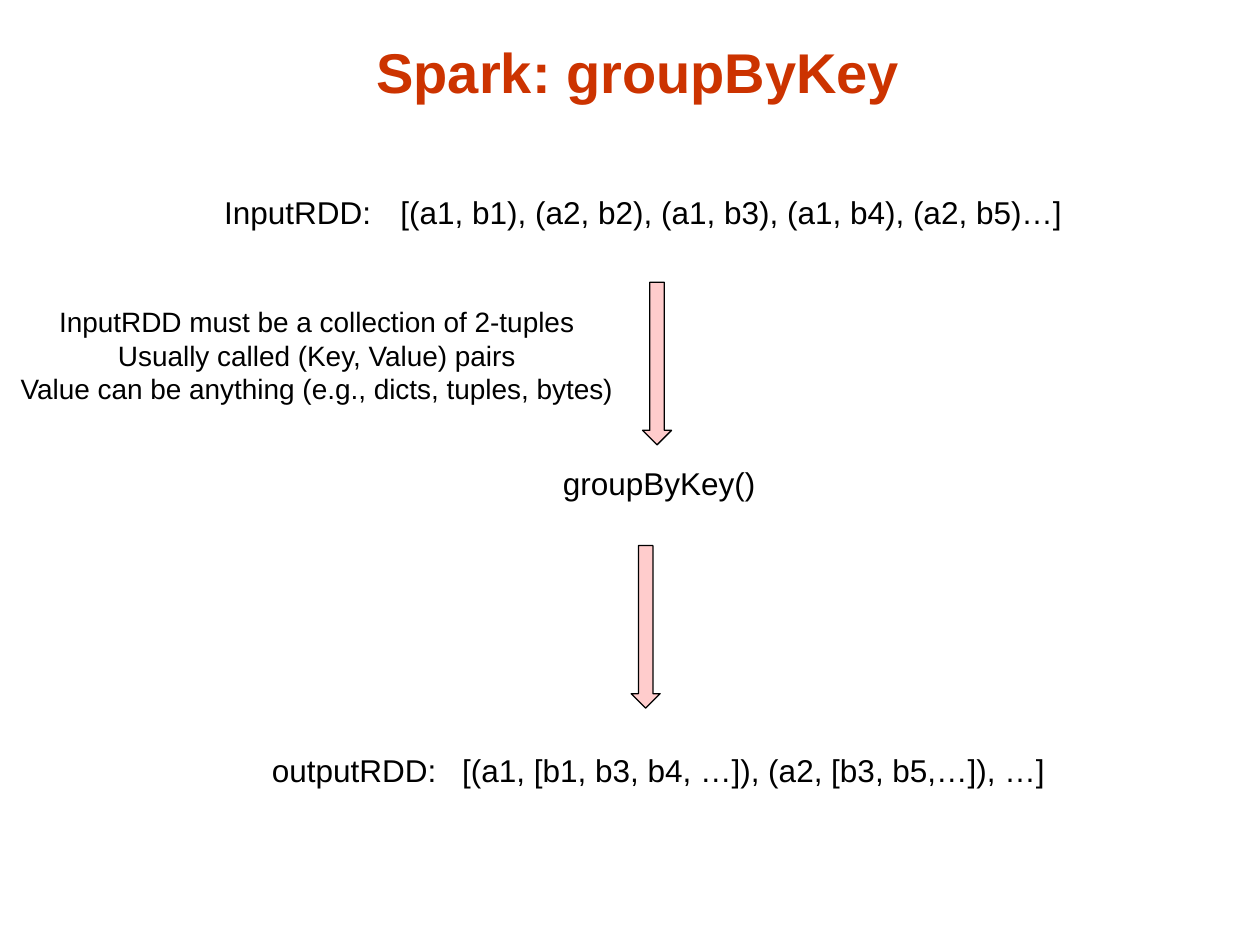
from pptx import Presentation
from pptx import util as u
from pptx.dml.color import RGBColor
from pptx.enum import shapes, text
from pptx.oxml.ns import qn
from lxml import etree


def color(code):
    return RGBColor.from_string(code)


class Deck:
    face = "Arial"
    ink = "000000"
    accent = "CC3300"
    pink = "FFCCCC"

    def __init__(self):
        self.prs = Presentation()
        self.prs.slide_width = u.Inches(10)
        self.prs.slide_height = u.Inches(7.5)
        self.slide = self.prs.slides.add_slide(self.prs.slide_layouts[5])

    def style(self, frame, size, ink, align, bold=False):
        for para in frame.paragraphs:
            para.alignment = align
            for run in para.runs:
                font = run.font
                font.name = self.face
                font.size = u.Pt(size)
                font.bold = bold
                font.color.rgb = color(ink)

    def title(self, words, left, top, width, height):
        shape = self.slide.shapes.title
        shape.left, shape.top = u.Inches(left), u.Inches(top)
        shape.width, shape.height = u.Inches(width), u.Inches(height)
        frame = shape.text_frame
        frame.text = words
        frame.vertical_anchor = text.MSO_ANCHOR.BOTTOM
        self.style(frame, 32, self.accent, text.PP_ALIGN.CENTER, True)

    def label(self, words, left, top, width, height=0.4, size=18,
              align=text.PP_ALIGN.LEFT, tab=None):
        box = self.slide.shapes.add_textbox(
            u.Inches(left), u.Inches(top), u.Inches(width), u.Inches(height))
        frame = box.text_frame
        frame.text = words
        frame.word_wrap = False
        frame.auto_size = text.MSO_AUTO_SIZE.SHAPE_TO_FIT_TEXT
        self.style(frame, size, self.ink, align)
        if tab:
            props = frame.paragraphs[0]._p.get_or_add_pPr()
            stops = etree.SubElement(props, qn("a:tabLst"))
            etree.SubElement(stops, qn("a:tab"), pos=str(u.Inches(tab)), algn="l")

    def arrow(self, left, top):
        shape = self.slide.shapes.add_shape(
            shapes.MSO_SHAPE.DOWN_ARROW, u.Inches(left), u.Inches(top),
            u.Inches(0.23), u.Inches(1.29))
        shape.shadow.inherit = False
        shape.fill.solid()
        shape.fill.fore_color.rgb = color(self.pink)
        shape.line.color.rgb = color(self.ink)
        shape.line.width = u.Pt(0.75)


def main():
    deck = Deck()
    deck.title("Spark: groupByKey", 0.65, 0.21, 8.83, 0.67)
    deck.label("InputRDD:\t[(a1, b1), (a2, b2), (a1, b3), (a1, b4), (a2, b5)…]",
               1.68, 1.48, 6.89, tab=1.4)
    deck.arrow(5.1, 2.24)
    deck.label("groupByKey()", 4.37, 3.63, 1.74)
    deck.arrow(5.01, 4.33)
    deck.label("outputRDD:\t[(a1, [b1, b3, b4, …]), (a2, [b3, b5,…]), …]",
               2.06, 5.91, 6.36, tab=1.51)
    notes = ["InputRDD must be a collection of 2-tuples",
             "Usually called (Key, Value) pairs",
             "Value can be anything (e.g., dicts, tuples, bytes)"]
    deck.label("\n".join(notes), 0.03, 2.37, 4.97, 0.91, 16, text.PP_ALIGN.CENTER)
    deck.prs.save("out.pptx")


if __name__ == "__main__":
    main()
